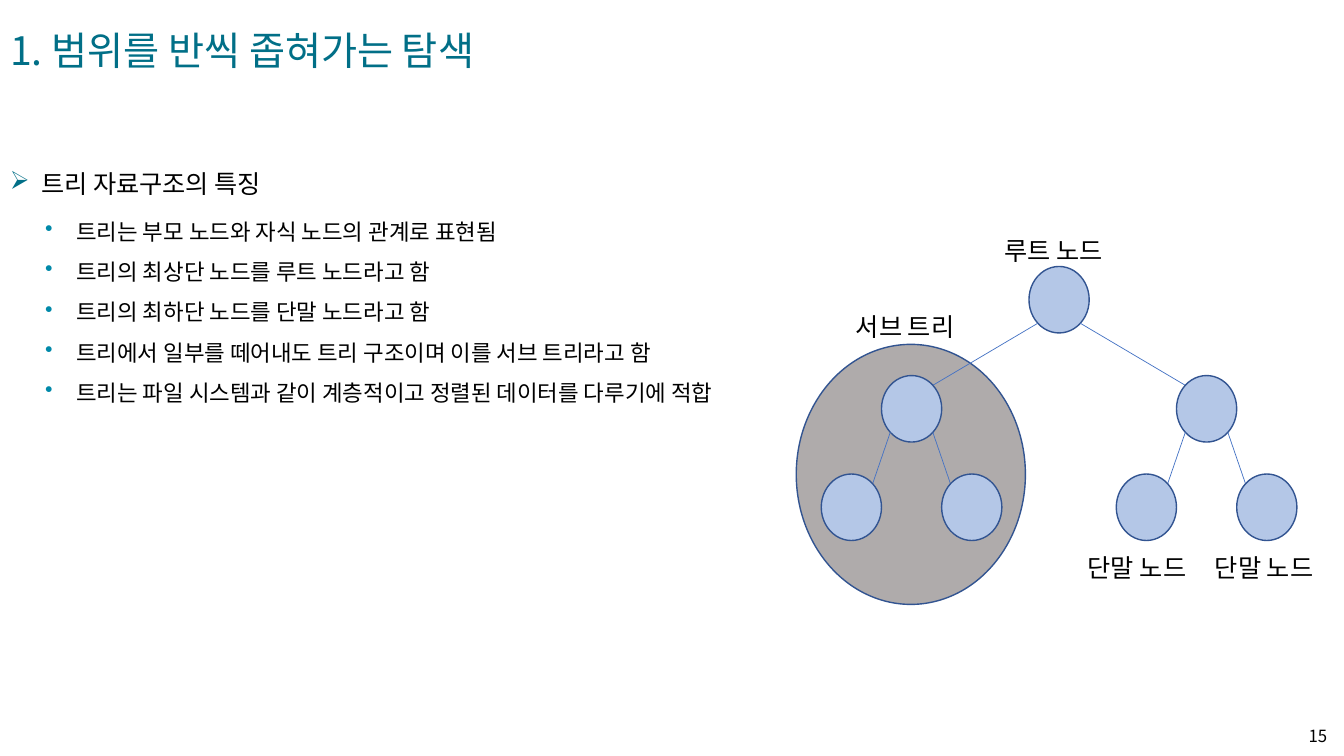
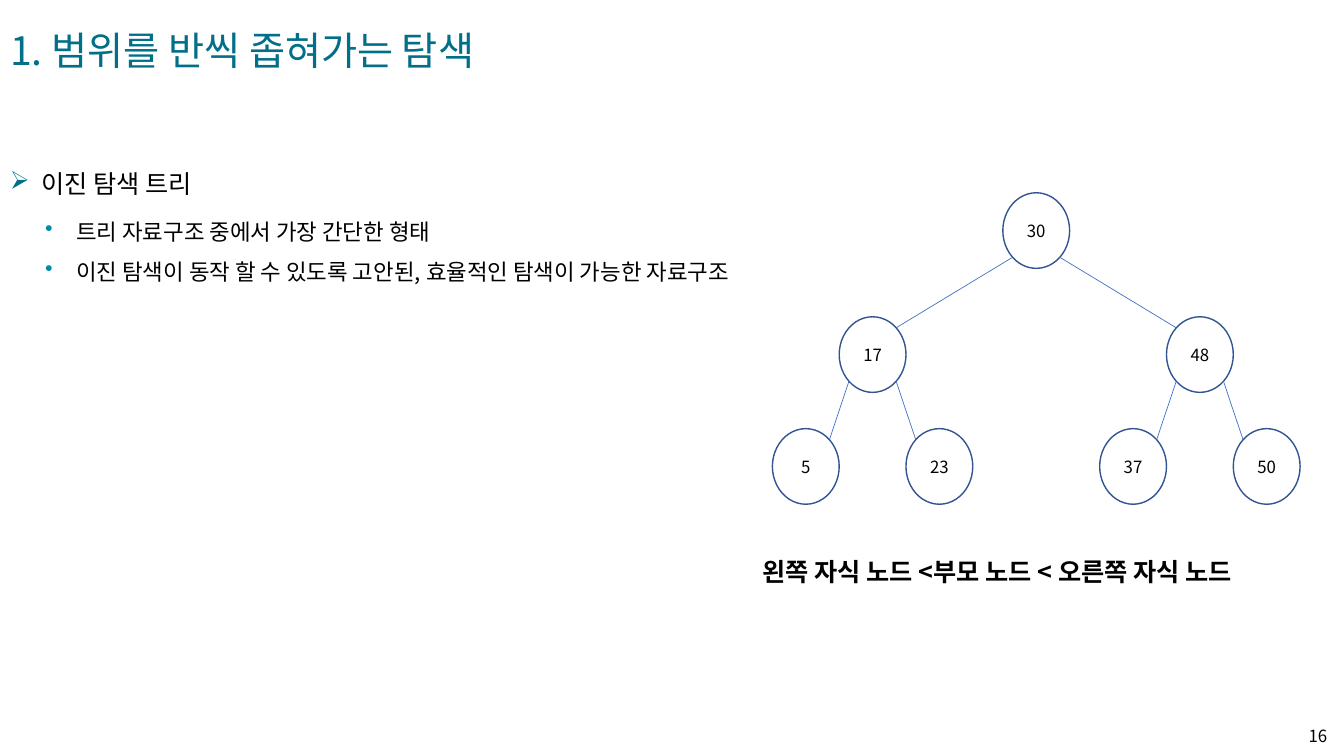
import dataclasses

import lxml.etree
import pptx
import pptx.dml.color
import pptx.enum.shapes
import pptx.enum.text
import pptx.oxml.ns
import pptx.util

ALIGN = pptx.enum.text.PP_ALIGN
ANCHOR = pptx.enum.text.MSO_ANCHOR
OVAL = pptx.enum.shapes.MSO_SHAPE.OVAL
STRAIGHT = pptx.enum.shapes.MSO_CONNECTOR.STRAIGHT
qn = pptx.oxml.ns.qn


@dataclasses.dataclass(frozen=True)
class Theme:
    font: str = "Noto Sans CJK KR"
    text: str = "000000"
    title: str = "016F87"
    bullet: str = "0089A9"
    outline: str = "325491"
    edge: str = "4472C4"
    node: str = "B4C7E7"
    subtree: str = "AFABAB"
    paper: str = "FFFFFF"
    title_size: int = 28
    heading_size: int = 18
    body_size: int = 16
    small_size: int = 12
    outline_width: float = 1
    edge_width: float = 0.5
    indent: float = 0.31


THEME = Theme()


def rgb(color):
    return pptx.dml.color.RGBColor.from_string(color)


def add_bullet(p, char, color):
    pPr = p._p.get_or_add_pPr()
    indent = pptx.util.Inches(THEME.indent)
    pPr.set("marL", str(indent))
    pPr.set("indent", str(-indent))
    buClr = lxml.etree.SubElement(pPr, qn("a:buClr"))
    lxml.etree.SubElement(buClr, qn("a:srgbClr"), val=color)
    lxml.etree.SubElement(pPr, qn("a:buChar"), char=char)


def write_text(sp, *lines, size=THEME.heading_size, color=THEME.text, bold=False,
               align=ALIGN.LEFT, anchor=ANCHOR.TOP, spacing=1.0,
               bullet=None, bullet_color=THEME.bullet):
    """Fill a shape with one paragraph per line, all in one format."""
    tf = sp.text_frame
    tf.word_wrap = True
    tf.vertical_anchor = anchor
    for i, line in enumerate(lines):
        p = tf.add_paragraph() if i else tf.paragraphs[0]
        p.alignment = align
        p.line_spacing = spacing
        if bullet:
            add_bullet(p, bullet, bullet_color)
        r = p.add_run()
        r.text = line
        r.font.size = pptx.util.Pt(size)
        r.font.bold = bold
        r.font.color.rgb = rgb(color)
        r.font.name = THEME.font
        lxml.etree.SubElement(r._r.get_or_add_rPr(), qn("a:ea"), typeface=THEME.font)


class Deck:
    """Holds the current slide; lengths are percentages of the slide's size."""

    def __init__(self):
        self.prs = pptx.Presentation()
        self.prs.slide_width = pptx.util.Inches(13.33)
        self.prs.slide_height = pptx.util.Inches(7.5)
        self.s = None

    def scale(self, *lengths):
        """Turn alternating horizontal and vertical percentages into EMU."""
        sides = (self.prs.slide_width, self.prs.slide_height)
        return [round(v * sides[i % 2] / 100) for i, v in enumerate(lengths)]

    def add_slide(self, number, title, heading, points):
        self.s = self.prs.slides.add_slide(self.prs.slide_layouts[5])
        sp = self.s.shapes.title
        sp.left, sp.top, sp.width, sp.height = self.scale(0, 2.8, 60, 7.6)
        write_text(sp, title, size=THEME.title_size, color=THEME.title)
        self.text(95.2, 94.67, 4.3, 5.33, str(number), size=THEME.small_size,
                  align=ALIGN.RIGHT, anchor=ANCHOR.MIDDLE)
        self.text(0, 17.6, 50.5, 8.4, heading, spacing=2.0,
                  bullet="➢", bullet_color=THEME.title)
        self.text(2.62, 26.4, 57, 5.5 * len(points), *points,
                  size=THEME.body_size, spacing=1.5, bullet="•")

    def text(self, x, y, w, h, *lines, **fmt):
        sp = self.s.shapes.add_textbox(*self.scale(x, y, w, h))
        write_text(sp, *lines, **fmt)

    def label(self, x, y, text):
        self.text(x, y, 9.4, 5.33, text)

    def oval(self, cx, cy, w, h, fill, text=""):
        sp = self.s.shapes.add_shape(OVAL, *self.scale(cx - w / 2, cy - h / 2, w, h))
        sp.shadow.inherit = False
        sp.fill.solid()
        sp.fill.fore_color.rgb = rgb(fill)
        sp.line.color.rgb = rgb(THEME.outline)
        sp.line.width = pptx.util.Pt(THEME.outline_width)
        if text:
            tf = sp.text_frame
            tf.margin_left = tf.margin_right = 0
            write_text(sp, text, size=THEME.small_size,
                       align=ALIGN.CENTER, anchor=ANCHOR.MIDDLE)

    def edge(self, x1, y1, x2, y2):
        line = self.s.shapes.add_connector(STRAIGHT, *self.scale(x1, y1, x2, y2))
        line.line.color.rgb = rgb(THEME.edge)
        line.line.width = pptx.util.Pt(THEME.edge_width)
        lxml.etree.SubElement(line._element.spPr, qn("a:effectLst"))

    def tree(self, cx, cy, w, h, fill, values=None, steps=((2.45, 1.64), (1, 1.48))):
        """Draw a binary tree; values run level by level, steps are in node sizes."""
        values = values or [""] * (2 ** (len(steps) + 1) - 1)
        diagonal = 0.5 ** 0.5 / 2
        dx, dy = w * diagonal, h * diagonal
        centers = [(cx, cy)]
        self.oval(cx, cy, w, h, fill, values[0])
        for step_x, step_y in steps:
            children = []
            for px, py in centers:
                for side in (-1, 1):
                    x, y = px + side * step_x * w, py + step_y * h
                    children.append((x, y))
                    self.edge(px + side * dx, py + dy, x - side * dx, y - dy)
            first = 2 * len(centers) - 1
            for (x, y), value in zip(children, values[first:]):
                self.oval(x, y, w, h, fill, value)
            centers = children


def main():
    deck = Deck()
    title = "1. 범위를 반씩 좁혀가는 탐색"

    deck.add_slide(15, title, "트리 자료구조의 특징", [
        "트리는 부모 노드와 자식 노드의 관계로 표현됨",
        "트리의 최상단 노드를 루트 노드라고 함",
        "트리의 최하단 노드를 단말 노드라고 함",
        "트리에서 일부를 떼어내도 트리 구조이며 이를 서브 트리라고 함",
        "트리는 파일 시스템과 같이 계층적이고 정렬된 데이터를 다루기에 적합",
    ])
    deck.oval(67.77, 62.75, 17.05, 34.4, THEME.subtree)
    deck.tree(78.8, 39.65, 4.48, 8.8, THEME.node)
    deck.label(73.97, 30.53, "루트 노드")
    deck.label(62.94, 40.53, "서브 트리")
    for x in (80.2, 89.65):
        deck.label(x, 72.4, "단말 노드")

    deck.add_slide(16, title, "이진 탐색 트리", [
        "트리 자료구조 중에서 가장 간단한 형태",
        "이진 탐색이 동작 할 수 있도록 고안된, 효율적인 탐색이 가능한 자료구조",
    ])
    deck.tree(77.1, 30.5, 4.97, 10, THEME.paper,
              ["30", "17", "48", "5", "23", "37", "50"])
    deck.text(55.96, 72.93, 42.25, 5.33,
              "왼쪽 자식 노드 <부모 노드 < 오른쪽 자식 노드", bold=True)

    deck.prs.save("out.pptx")


if __name__ == "__main__":
    main()
